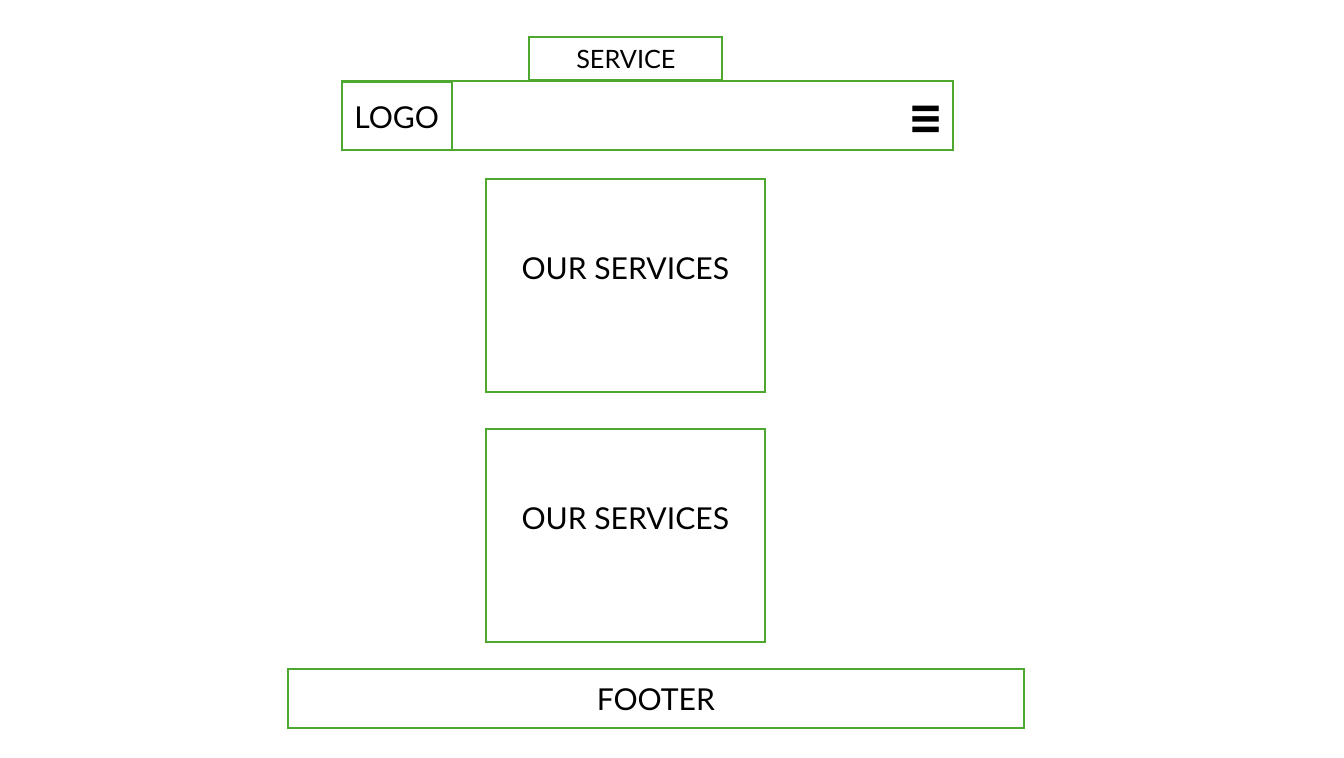
from dataclasses import dataclass

from lxml.etree import SubElement
from pptx import Presentation
from pptx.dml.color import RGBColor
from pptx.enum.shapes import MSO_SHAPE
from pptx.enum.text import MSO_ANCHOR, PP_ALIGN
from pptx.oxml.ns import qn
from pptx.util import Pt


@dataclass(frozen=True)
class Theme:
    font: str = "Lato"
    paper: RGBColor = RGBColor(0xFF, 0xFF, 0xFF)
    outline: RGBColor = RGBColor(0x4E, 0xA7, 0x2E)
    ink: RGBColor = RGBColor(0, 0, 0)
    outline_width: float = 1.5
    label: float = 21.5
    tab: float = 18
    menu: float = 42.5


theme = Theme()

presentation = Presentation()
presentation.slide_width, presentation.slide_height = Pt(957.6), Pt(540)
slide = presentation.slides.add_slide(presentation.slide_layouts[6])


def add_block(label, left, top, width, height, size=theme.label,
              align=PP_ALIGN.CENTER, bold=False):
    block = slide.shapes.add_shape(
        MSO_SHAPE.RECTANGLE, Pt(left), Pt(top), Pt(width), Pt(height))
    block.shadow.inherit = False
    block.fill.solid()
    block.fill.fore_color.rgb = theme.paper
    block.line.color.rgb = theme.outline
    block.line.width = Pt(theme.outline_width)
    # Square outline corners
    outline = block.element.spPr.find(qn("a:ln"))
    SubElement(outline, qn("a:miter"), lim="800000")
    frame = block.text_frame
    frame.text = label
    frame.word_wrap = True
    frame.vertical_anchor = MSO_ANCHOR.MIDDLE
    paragraph = frame.paragraphs[0]
    paragraph.alignment = align
    font = paragraph.runs[0].font
    font.name, font.size, font.bold = theme.font, Pt(size), bold
    font.color.rgb = theme.ink
    return block


# Service sections, with the heading raised above the middle
section_top, section_pitch = 127.5, 178.1
for row in range(2):
    section = add_block("OUR SERVICES", 346.3, section_top + row * section_pitch,
                        198.7, 152)
    section.text_frame.margin_bottom = Pt(29.4)

# Header bar with menu icon and logo cell
header_left, header_top, header_height = 243.4, 57.4, 49.7
add_block("≡", header_left, header_top, 435.6, header_height,
          size=theme.menu, align=PP_ALIGN.RIGHT, bold=True)
add_block("LOGO", header_left, header_top + 0.7, 78.5, header_height - 0.7)

# Footer bar
add_block("FOOTER", 205.2, 476.7, 524.2, 41.8)

# Page tab resting on the header
tab_height = 31
add_block("SERVICE", 377.2, header_top - tab_height, 137.5, tab_height, size=theme.tab)

presentation.save("out.pptx")
